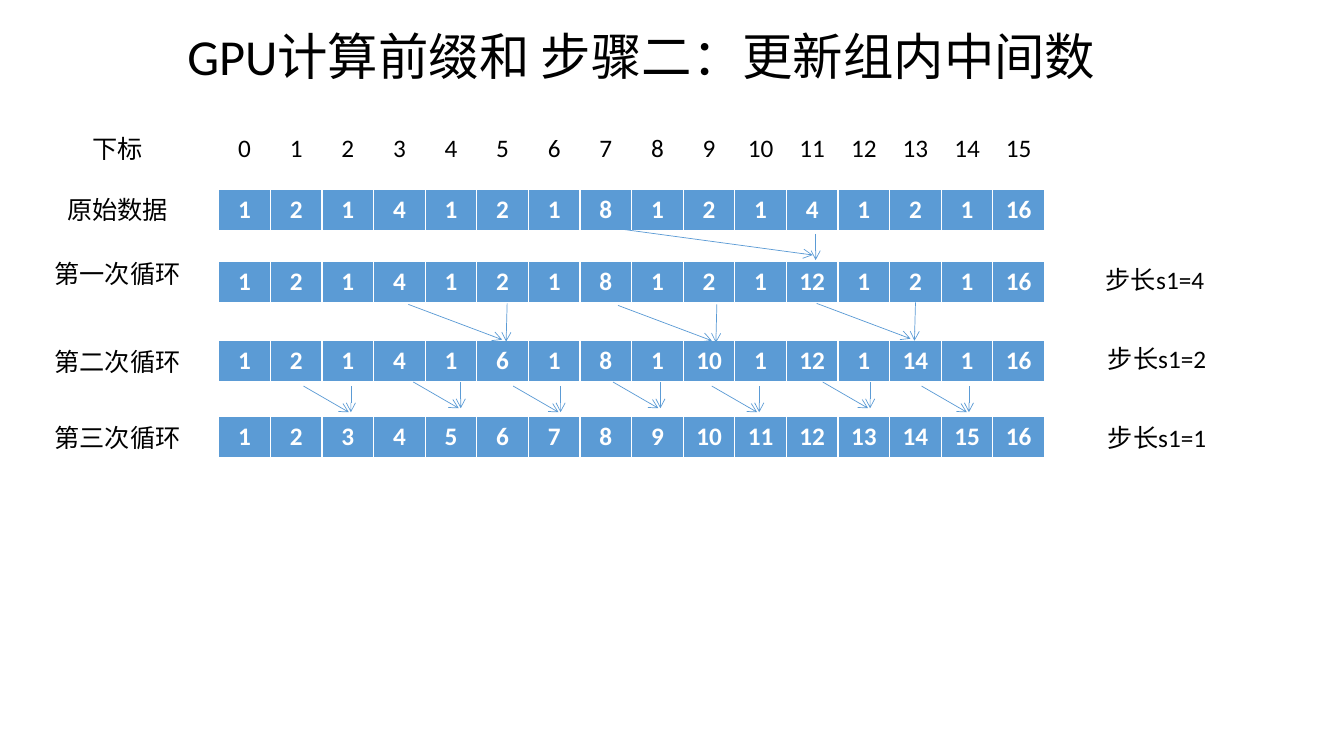
from lxml import etree
from pptx import Presentation
from pptx.dml.color import RGBColor
from pptx.enum import shapes, text
from pptx.oxml import ns
from pptx.util import Inches, Pt

# Content
TITLE = "GPU计算前缀和 步骤二：更新组内中间数"
INDEX = ("下标", 1.27, 1.27, range(16))  # label, label top, table top, values
ROWS = [
    ("原始数据", 1.88, 1.88, [1, 2, 1, 4, 1, 2, 1, 8, 1, 2, 1, 4, 1, 2, 1, 16]),
    ("第一次循环", 2.51, 2.59, [1, 2, 1, 4, 1, 2, 1, 8, 1, 2, 1, 12, 1, 2, 1, 16]),
    ("第二次循环", 3.39, 3.38, [1, 2, 1, 4, 1, 6, 1, 8, 1, 10, 1, 12, 1, 14, 1, 16]),
    ("第三次循环", 4.14, 4.13, range(1, 17)),
]
STEPS = [("步长s1=4", 10.68, 2.57), ("步长s1=2", 10.7, 3.36), ("步长s1=1", 10.7, 4.14)]

# Each loop: starts of its pairs, slanted reach, offset and reach of the upright arrow
LOOPS = [
    ([(5.99, 2.25)], (2.07, 0.28), (2.1, 0.07), (0, 0.26)),
    ([(4.05, 3.02), (6.13, 3.03), (8.1, 3.01)], (0.93, 0.35), (0.98, -0.01), (-0.01, 0.38)),
    ([(3.01, 3.83), (4.1, 3.79), (5.09, 3.83), (6.08, 3.79), (7.06, 3.83),
      (8.16, 3.79), (9.14, 3.83)], (0.45, 0.26), (0.47, 0), (0, 0.26)),
]

THEME = {
    "font": "Calibri", "title": 36, "body": 18,
    "ink": RGBColor(0, 0, 0), "white": RGBColor(255, 255, 255),
    "blue": RGBColor(0x5B, 0x9B, 0xD5),
}
TABLE_LEFT, TABLE_W, ROW_H = 2.17, 8.19, 0.42
LABEL_LEFT, LABEL_W, LABEL_H = 0.39, 1.55, 0.4


def write(tf, words, size=THEME["body"], color=THEME["ink"], bold=False,
          align=text.PP_ALIGN.CENTER):
    p = tf.paragraphs[0]
    p.alignment = align
    r = p.add_run()
    r.text = words
    r.font.name, r.font.size, r.font.bold = THEME["font"], Pt(size), bold
    r.font.color.rgb = color


def add_text(words, left, top, width=LABEL_W, height=LABEL_H, **fmt):
    tf = slide.shapes.add_textbox(*map(Inches, (left, top, width, height))).text_frame
    tf.word_wrap = True
    write(tf, words, **fmt)


def add_borders(cell):
    tc_pr = cell._tc.get_or_add_tcPr()
    for side, points in (("L", 1), ("R", 1), ("T", 1), ("B", 3)):
        ln = etree.SubElement(tc_pr, ns.qn(f"a:ln{side}"), w=str(Pt(points)))
        fill = etree.SubElement(ln, ns.qn("a:solidFill"))
        etree.SubElement(fill, ns.qn("a:srgbClr"), val=str(THEME["white"]))


def add_row(label, label_top, top, values, filled=True):
    add_text(label, LABEL_LEFT, label_top)
    table = slide.shapes.add_table(
        1, len(values), *map(Inches, (TABLE_LEFT, top, TABLE_W, ROW_H))).table
    table.first_row = table.horz_banding = False
    for cell, value in zip(table.iter_cells(), values):
        add_borders(cell)
        if filled:
            cell.fill.solid()
            cell.fill.fore_color.rgb = THEME["blue"]
        else:
            cell.fill.background()
        write(cell.text_frame, str(value), bold=filled,
              color=THEME["white"] if filled else THEME["ink"])


def add_arrow(x, y, dx, dy):
    c = slide.shapes.add_connector(
        shapes.MSO_CONNECTOR.STRAIGHT, *map(Inches, (x, y, x + dx, y + dy)))
    c.line.color.rgb, c.line.width = THEME["blue"], Pt(0.5)
    etree.SubElement(c.line._get_or_add_ln(), ns.qn("a:tailEnd"), type="arrow")
    etree.SubElement(c._element.spPr, ns.qn("a:effectLst"))


prs = Presentation()
prs.slide_width, prs.slide_height = Inches(13.33), Inches(7.5)
slide = prs.slides.add_slide(prs.slide_layouts[6])

# Title
add_text(TITLE, 1.76, 0.2, 10.77, 0.71, size=THEME["title"], align=text.PP_ALIGN.LEFT)

# Index and data rows
add_row(*INDEX, filled=False)
for row in ROWS:
    add_row(*row)

# Step lengths
for step in STEPS:
    add_text(*step)

# Arrow pairs between rows
for starts, slant, (off_x, off_y), upright in LOOPS:
    for x, y in starts:
        add_arrow(x, y, *slant)
        add_arrow(x + off_x, y + off_y, *upright)

prs.save("out.pptx")
